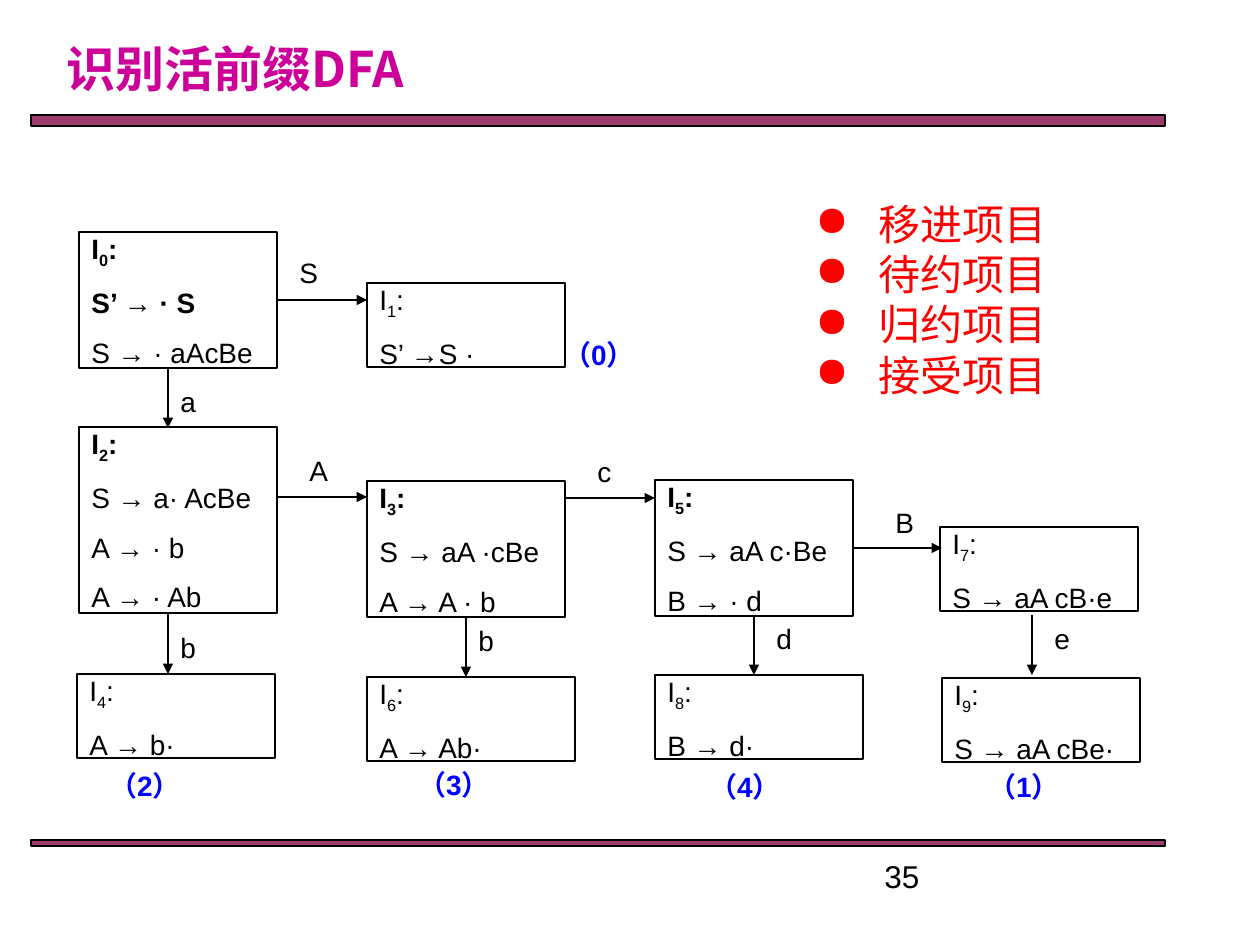
from lxml import etree
from pptx import Presentation
from pptx.dml.color import RGBColor
from pptx.enum.shapes import MSO_CONNECTOR, MSO_SHAPE
from pptx.enum.text import MSO_ANCHOR, PP_ALIGN
from pptx.oxml.ns import qn
from pptx.util import Pt

RECT = MSO_SHAPE.RECTANGLE
STRAIGHT = MSO_CONNECTOR.STRAIGHT
LEFT, CENTER = PP_ALIGN.LEFT, PP_ALIGN.CENTER
TOP, BOTTOM = MSO_ANCHOR.TOP, MSO_ANCHOR.BOTTOM
BOTTOM_SIDE, RIGHT_SIDE = 2, 3

EMU_PER_PX = 914400 / 126
COLORS = {"title": "CC0099", "bar": "993366", "ink": "000000",
          "action": "0000FF", "legend": "FF0000"}
LATIN, CJK = "Arial", "Noto Sans CJK SC"

# number: (box, items, heading is bold, number of bold items)
STATES = {
    0: ((79, 232, 198, 136), ["S’ → · S", "S → · aAcBe"], True, 1),
    1: ((367, 283, 198, 84), ["S’ →S ·"], False, 0),
    2: ((79, 427, 198, 186), ["S → a· AcBe", "A → · b", "A → · Ab"], True, 0),
    3: ((367, 481, 198, 136), ["S → aA ·cBe", "A → A · b"], True, 0),
    4: ((77, 674, 198, 84), ["A → b·"], False, 0),
    5: ((655, 480, 198, 136), ["S → aA c·Be", "B → · d"], True, 0),
    6: ((367, 677, 208, 84), ["A → Ab·"], False, 0),
    7: ((940, 527, 198, 84), ["S → aA cB·e"], False, 0),
    8: ((655, 675, 208, 84), ["B → d·"], False, 0),
    9: ((942, 678, 198, 84), ["S → aA cBe·"], False, 0),
}
# symbol, label corner, start, end, (state, side) the start is joined to
TRANSITIONS = [
    ("S", (287, 249), (277, 300), (367, 300), (0, RIGHT_SIDE)),
    ("a", (168, 378), (168, 368), (168, 428), None),
    ("A", (297, 447), (277, 497), (367, 497), None),
    ("b", (168, 624), (168, 613), (168, 674), None),
    ("c", (585, 448), (565, 498), (655, 498), None),
    ("b", (466, 617), (466, 617), (466, 677), (3, BOTTOM_SIDE)),
    ("B", (883, 499), (853, 548), (942, 548), (5, RIGHT_SIDE)),
    ("d", (764, 615), (754, 616), (754, 675), (5, BOTTOM_SIDE)),
    ("e", (1042, 615), (1032, 615), (1032, 675), None),
]
ACTIONS = [("（0）", 543, 331), ("（2）", 89, 762), ("（3）", 398, 761),
           ("（4）", 689, 763), ("（1）", 968, 763)]
LEGEND = ["移进项目", "待约项目", "归约项目", "接受项目"]


def px(*lengths):
    return [round(length * EMU_PER_PX) for length in lengths]


def rgb(key):
    return RGBColor.from_string(COLORS[key])


def style(paragraph, size, color, bold=False, font=LATIN, align=LEFT):
    paragraph.alignment = align
    paragraph.font.name = font
    paragraph.font.size = Pt(size)
    paragraph.font.bold = bold
    paragraph.font.color.rgb = rgb(color)


def add_text(slide, box, text, size, color, anchor=TOP, **options):
    frame = slide.shapes.add_textbox(*px(*box)).text_frame
    frame.word_wrap = True
    frame.vertical_anchor = anchor
    frame.text = text
    for paragraph in frame.paragraphs:
        style(paragraph, size, color, **options)
    return frame


def add_bar(slide, box):
    bar = slide.shapes.add_shape(RECT, *px(*box))
    bar.shadow.inherit = False
    bar.fill.solid()
    bar.fill.fore_color.rgb = rgb("bar")
    fill_color = bar.fill._xPr.find(qn("a:solidFill"))[0]
    etree.SubElement(fill_color, qn("a:alpha"), val="96000")
    bar.line.color.rgb = rgb("ink")
    bar.line.width = Pt(0.75)


def add_state(slide, number, box, items, bold_heading, bold_items):
    state = slide.shapes.add_shape(RECT, *px(*box))
    state.shadow.inherit = False
    state.fill.background()
    state.line.color.rgb = rgb("ink")
    state.line.width = Pt(1)
    frame = state.text_frame
    frame.word_wrap = True
    frame.vertical_anchor = TOP
    frame.margin_top = frame.margin_bottom = 0

    # Heading with the state number as a subscript
    heading = frame.paragraphs[0]
    style(heading, 16, "ink", bold_heading)
    for part in ("I", str(number), ":"):
        run = heading.add_run()
        run.text = part
        if part.isdigit():
            run._r.get_or_add_rPr().set("baseline", "-25000")

    # Items
    for index, item in enumerate(items):
        paragraph = frame.add_paragraph()
        paragraph.text = item
        paragraph.space_before = Pt(9)
        style(paragraph, 16, "ink", index < bold_items)
    return state


def add_transition(slide, states, symbol, corner, start, end, joint):
    arrow = slide.shapes.add_connector(STRAIGHT, *px(*start, *end))
    if joint:
        number, side = joint
        arrow.begin_connect(states[number], side)
    arrow.line.color.rgb = rgb("ink")
    arrow.line.width = Pt(1.25)
    etree.SubElement(arrow.line._get_or_add_ln(), qn("a:tailEnd"), type="triangle")
    etree.SubElement(arrow._element.spPr, qn("a:effectLst"))
    add_text(slide, (*corner, 39, 47), symbol, 16, "ink")


def add_automaton(slide):
    states = {number: add_state(slide, number, *content)
              for number, content in STATES.items()}
    for transition in TRANSITIONS:
        add_transition(slide, states, *transition)
    for action, left, top in ACTIONS:
        add_text(slide, (left, top, 112, 48), action, 16, "action",
                 bold=True, align=CENTER)


def add_legend(slide, box):
    frame = add_text(slide, box, "\n".join(LEGEND), 24, "legend")
    frame.word_wrap = False
    indent = px(63)[0]
    for paragraph in frame.paragraphs:
        properties = paragraph._p.get_or_add_pPr()
        properties.set("marL", str(indent))
        properties.set("indent", str(-indent))
        bullet = etree.Element(qn("a:buChar"), char="●")
        properties.find(qn("a:defRPr")).addprevious(bullet)


def main():
    prs = Presentation()
    prs.slide_width, prs.slide_height = px(1260, 945)
    slide = prs.slides.add_slide(prs.slide_layouts[6])

    # Frame of the page
    add_bar(slide, (31, 115, 1134, 11))
    add_bar(slide, (31, 840, 1134, 6))
    add_text(slide, (-53, 31, 588, 73), "识别活前缀DFA ", 28, "title",
             anchor=BOTTOM, bold=True, font=CJK, align=CENTER)
    add_text(slide, (872, 851, 294, 34), "35", 18, "ink")

    # Content
    add_automaton(slide)
    add_legend(slide, (803, 192, 258, 217))
    prs.save("out.pptx")


if __name__ == "__main__":
    main()
